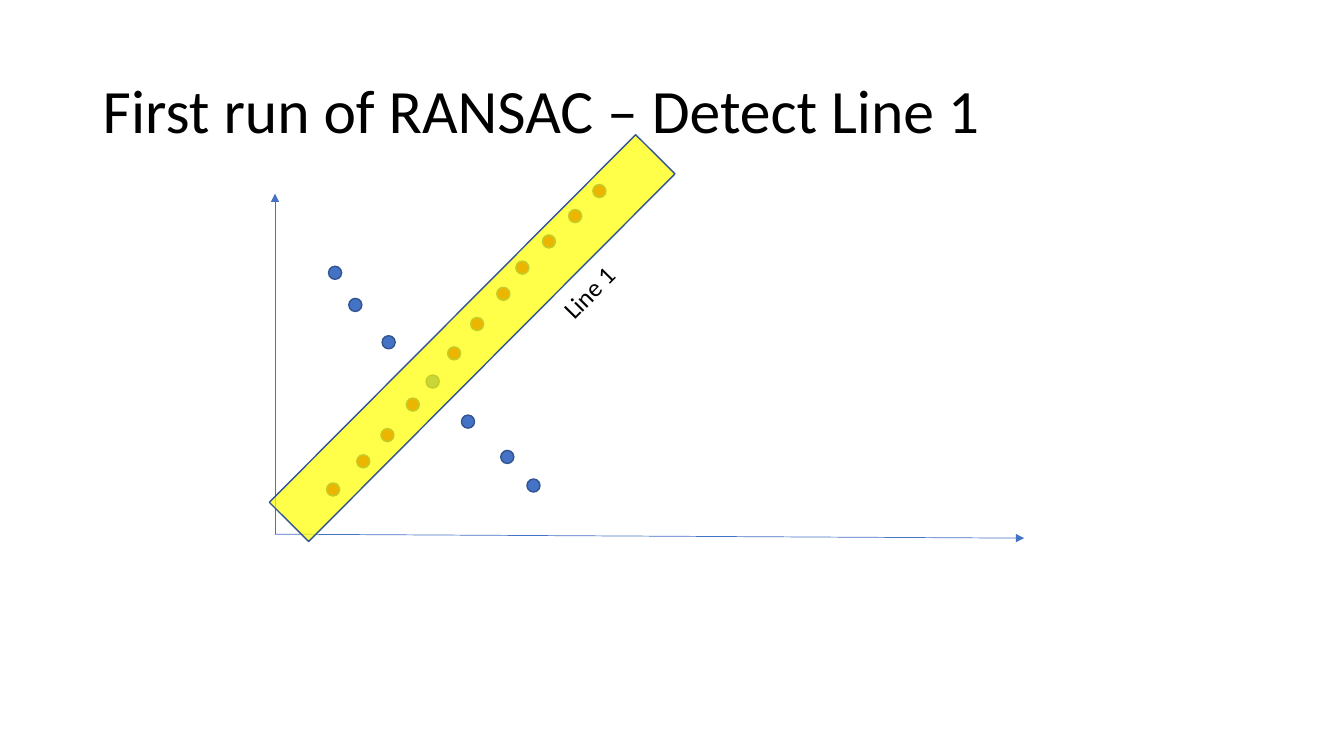
from lxml.etree import SubElement
from pptx import Presentation
from pptx.dml.color import RGBColor
from pptx.enum.shapes import MSO_CONNECTOR, MSO_SHAPE
from pptx.enum.text import MSO_ANCHOR
from pptx.oxml.ns import qn
from pptx.util import Cm, Pt

COLORS = {"text": "000000", "axis": "4472C4", "outline": "325491",
          "outlier": "4472C4", "inlier": "C00000", "band": "FFFF00"}
rgb = {part: RGBColor.from_string(value) for part, value in COLORS.items()}

prs = Presentation()
prs.slide_width, prs.slide_height = Cm(33.87), Cm(19.05)
slide = prs.slides.add_slide(prs.slide_layouts[6])
shapes = slide.shapes


def add_text(text, left, top, width, height, size):
    box = shapes.add_textbox(Cm(left), Cm(top), Cm(width), Cm(height))
    box.text_frame.word_wrap = True
    paragraph = box.text_frame.paragraphs[0]
    paragraph.text = text
    paragraph.font.name = "Calibri"
    paragraph.font.size = Pt(size)
    paragraph.font.color.rgb = rgb["text"]
    return box


def add_outlined(preset, left, top, width, height, fill):
    shape = shapes.add_shape(preset, Cm(left), Cm(top), Cm(width), Cm(height))
    shape.shadow.inherit = False
    shape.fill.solid()
    shape.fill.fore_color.rgb = rgb[fill]
    shape.line.color.rgb = rgb["outline"]
    shape.line.width = Pt(1)
    return shape


# Title
title = add_text("First run of RANSAC – Detect Line 1", 2.34, 1.02, 29.21, 3.68, 44)
title.text_frame.vertical_anchor = MSO_ANCHOR.MIDDLE
title.text_frame.paragraphs[0].line_spacing = 0.9

# Axes, both starting at the origin
origin = Cm(6.93), Cm(13.46)
for end_x, end_y in [(25.81, 13.56), (6.93, 4.88)]:
    axis = shapes.add_connector(MSO_CONNECTOR.STRAIGHT, *origin, Cm(end_x), Cm(end_y))
    axis.line.color.rgb = rgb["axis"]
    axis.line.width = Pt(0.5)
    SubElement(axis.line._get_or_add_ln(), qn("a:tailEnd"), type="triangle")
    SubElement(axis._element.spPr, qn("a:effectLst"))

# Data points: left and top of each dot
dot_size = 0.33
points = {
    "outlier": [(8.28, 6.71), (8.79, 7.52), (9.63, 8.46), (10.74, 9.45),
                (11.63, 10.46), (12.62, 11.35), (13.28, 12.07)],
    "inlier": [(8.23, 12.17), (8.99, 11.46), (9.6, 10.8), (10.24, 10.03),
               (11.28, 8.74), (11.86, 8), (12.52, 7.24), (13, 6.58),
               (13.67, 5.92), (14.33, 5.28), (14.94, 4.65)],
}
for group, corners in points.items():
    for left, top in corners:
        add_outlined(MSO_SHAPE.OVAL, left, top, dot_size, dot_size, group)

# Translucent band around the detected line
band = add_outlined(MSO_SHAPE.RECTANGLE, 5.36, 7.82, 13.08, 1.4, "band")
band.rotation = 314.9
band_color = band._element.spPr.find(qn("a:solidFill"))[0]
SubElement(band_color, qn("a:alpha"), val="71000")

# Line label
line_label = add_text("Line 1", 13.59, 6.3, 3.58, 1.02, 18)
line_label.rotation = 314.7

prs.save("out.pptx")
